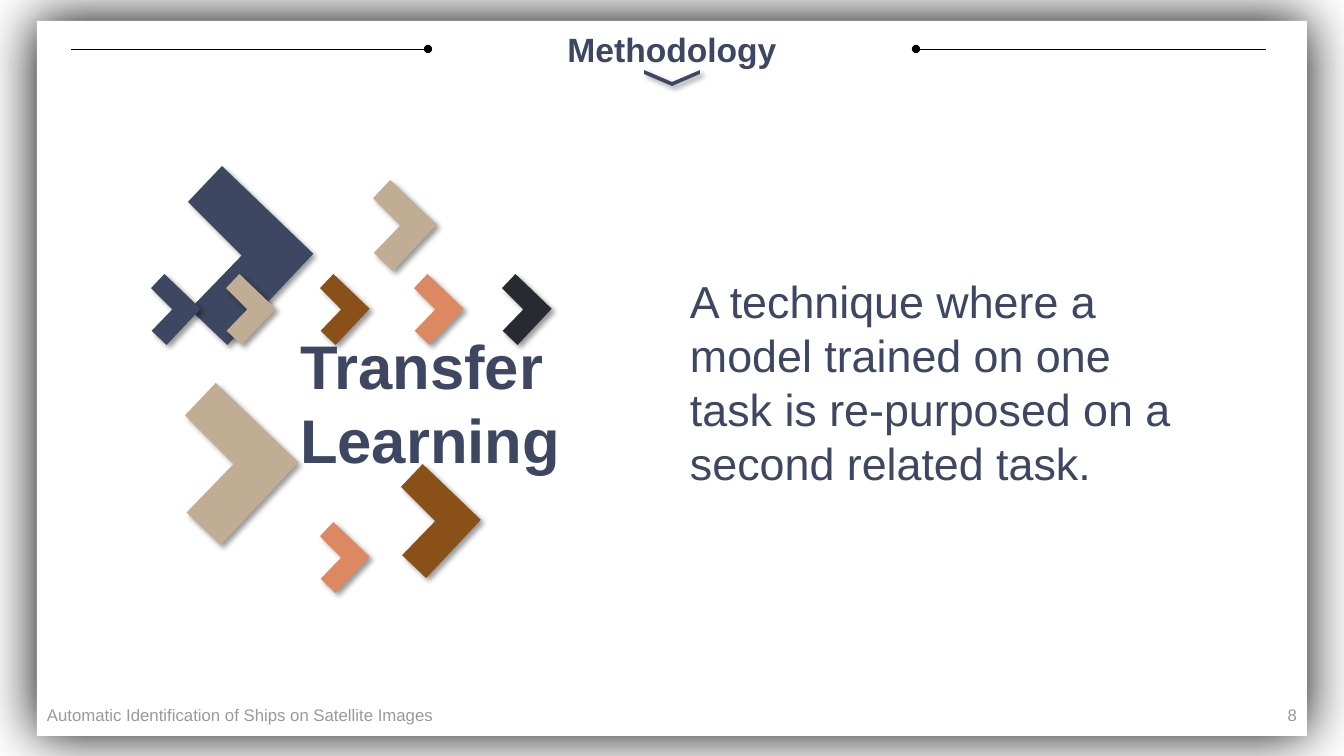
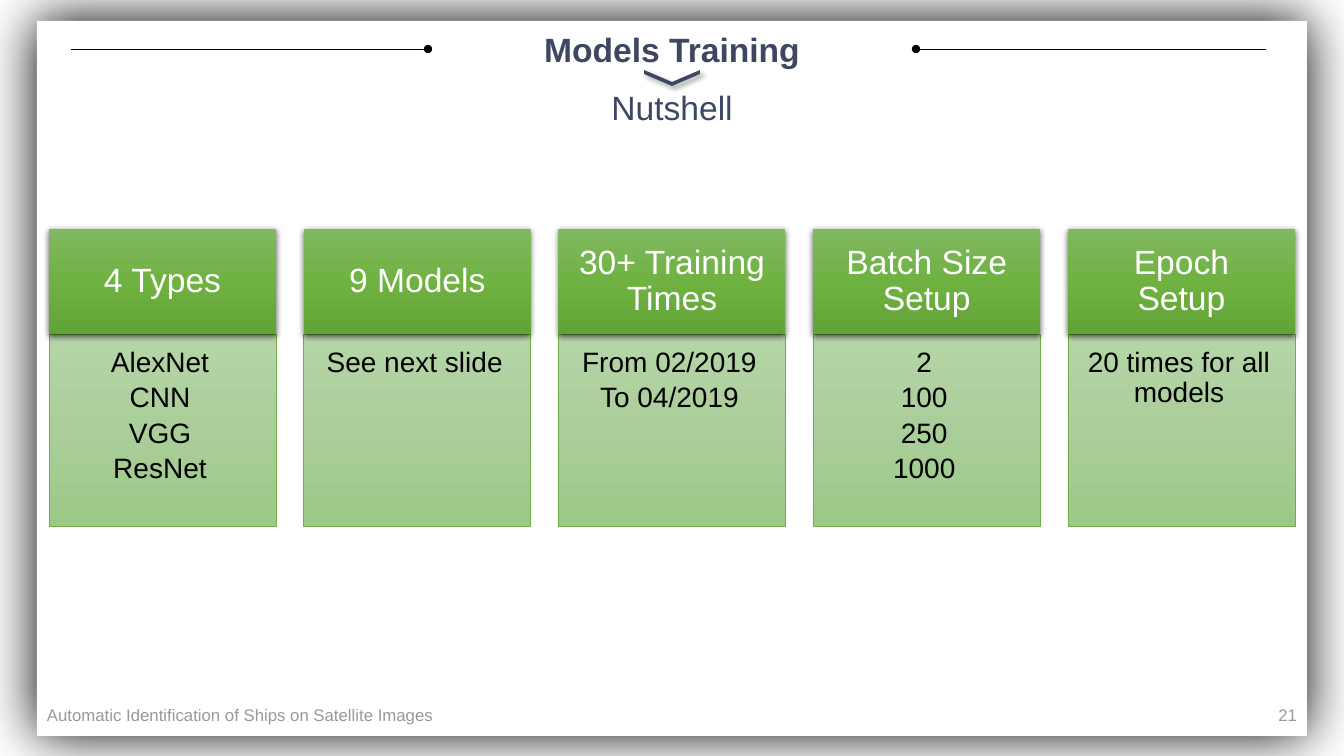
from copy import deepcopy
from dataclasses import dataclass

from lxml import etree
from pptx import Presentation
from pptx.dml.color import RGBColor
from pptx.enum.shapes import MSO_CONNECTOR, MSO_SHAPE
from pptx.enum.text import MSO_ANCHOR, PP_ALIGN
from pptx.oxml.ns import qn
from pptx.util import Emu, Pt

RECTANGLE, CHEVRON = MSO_SHAPE.RECTANGLE, MSO_SHAPE.CHEVRON
STRAIGHT = MSO_CONNECTOR.STRAIGHT
LEFT, CENTER, RIGHT = PP_ALIGN.LEFT, PP_ALIGN.CENTER, PP_ALIGN.RIGHT
TOP, MIDDLE = MSO_ANCHOR.TOP, MSO_ANCHOR.MIDDLE

EMU_PER_PX = 914400 / 100.8
EMU_PER_POINT = 12700
SLIDE_WIDTH, SLIDE_HEIGHT = 1344, 756


@dataclass(frozen=True)
class Theme:
    font: str = "Arial"
    white: str = "FFFFFF"
    black: str = "000000"
    navy: str = "3D4762"
    tan: str = "C1AC94"
    brown: str = "895018"
    coral: str = "DC8962"
    charcoal: str = "272A30"
    card_line: str = "70AD47"
    header_gradient: tuple = ("81B861", "6FB242", "62A336")
    body_gradient: tuple = ("B5D5A7", "AACE9A", "9CC987")
    # Shadows: opacity in percent, blur and distance in points, angle in degrees
    panel_shadow: tuple = (99, 40, 0, 0)
    chevron_shadow: tuple = (40, 4, 3, 45)
    header_shadow: tuple = (63, 4.5, 1.5, 90)
    hero_size: int = 44
    statement_size: int = 32
    title_size: int = 24
    card_size: int = 20
    footer_size: int = 12
    footer_opacity: int = 40


THEME = Theme()

FOOTER = "Automatic Identification of Ships on Satellite Images"
PANEL = (37, 21, 1270, 715)
TITLE_BOX = (428, 28, 488, 42)
SUBTITLE_BOX = (428, 86, 488, 42)
TITLE_RULES = [(428, 71), (916, 1266)]
RULE_Y = 49

METHOD_TITLE, METHOD_PAGE = "Methodology", "8"
METHOD_NAME = ["Transfer", "Learning"]
METHOD_TEXT = ["A technique where a model trained on one task is re-purposed on a second related task."]

# Corners in hundredths of the chevron's height
CHEVRON_OUTLINE = [(22, 100), (1, 80), (30, 50), (0, 20), (19, 0), (70, 49)]
SMALL, ROW_TOP = 71, 274
# Left, top, height, colour
CHEVRONS = [
    (373, 180, 91, THEME.tan),
    (188, 166, 179, THEME.navy),
    (226, ROW_TOP, SMALL, THEME.tan),
    (151, ROW_TOP, SMALL, THEME.navy),
    (320, ROW_TOP, SMALL, THEME.brown),
    (414, ROW_TOP, SMALL, THEME.coral),
    (502, ROW_TOP, SMALL, THEME.charcoal),
    (185, 383, 162, THEME.tan),
    (401, 464, 114, THEME.brown),
    (320, 522, SMALL, THEME.coral),
]

TRAINING_TITLE, TRAINING_SUBTITLE, TRAINING_PAGE = "Models Training", "Nutshell", "21"
CARDS = [
    ("4 Types", ["AlexNet", "CNN", "VGG", "ResNet"]),
    ("9 Models", ["See next slide"]),
    ("30+ Training Times", ["From 02/2019", "To 04/2019"]),
    ("Batch Size Setup", ["2", "100", "250", "1000"]),
    ("Epoch Setup", ["20 times for all models"]),
]
CARDS_LEFT, CARDS_RIGHT, CARD_WIDTH = 49, 1295, 227
HEADER_TOP, HEADER_HEIGHT, BODY_HEIGHT = 229, 105, 192


def px(value):
    return Emu(round(value * EMU_PER_PX))


def rgb(color):
    return RGBColor.from_string(color)


def write_text(shape, lines, size, color=THEME.navy, bold=False, align=LEFT, anchor=TOP,
               insets=(10, 5, 10, 5), wrap=True, line_spacing=1.0, space_after=0, opacity=100):
    """Fill a shape with one paragraph per line; insets run left, top, right, bottom."""
    frame = shape.text_frame
    frame.word_wrap = wrap
    frame.vertical_anchor = anchor
    frame.margin_left, frame.margin_top, frame.margin_right, frame.margin_bottom = map(px, insets)
    for index, line in enumerate(lines):
        paragraph = frame.paragraphs[0] if index == 0 else frame.add_paragraph()
        paragraph.alignment = align
        paragraph.line_spacing = line_spacing
        paragraph.space_after = Pt(space_after)
        run = paragraph.add_run()
        run.text = line
        run.font.name, run.font.size, run.font.bold = THEME.font, Pt(size), bold
        run.font.color.rgb = rgb(color)
        if opacity < 100:
            color_element = run.font.fill._xPr.find(".//" + qn("a:srgbClr"))
            etree.SubElement(color_element, qn("a:alpha"), val=str(opacity * 1000))


def add_text(slide, box, lines, size, **text_format):
    write_text(slide.shapes.add_textbox(*map(px, box)), lines, size, **text_format)


def set_gradient(shape, colors):
    """Apply a top-to-bottom gradient of three evenly spaced colours."""
    fill = shape.fill
    fill.gradient()
    fill.gradient_angle = 270
    stop_list = shape.element.spPr.find(".//" + qn("a:gsLst"))
    stop_list.append(deepcopy(stop_list[0]))
    for index, (stop, color) in enumerate(zip(fill.gradient_stops, colors)):
        stop.color.rgb = rgb(color)
        stop.position = index / 2


def style_shape(shape, fill, line=None, shadow=None):
    """Set fill (one colour or a gradient tuple), outline and shadow."""
    if isinstance(fill, tuple):
        set_gradient(shape, fill)
    else:
        shape.fill.solid()
        shape.fill.fore_color.rgb = rgb(fill)
    if line:
        shape.line.color.rgb = rgb(line)
        shape.line.width = Pt(0.5)
    else:
        shape.line.fill.background()
    shape.shadow.inherit = False
    if shadow:
        opacity, blur, distance, angle = shadow
        effects = shape.element.spPr.find(qn("a:effectLst"))
        outer = etree.SubElement(
            effects, qn("a:outerShdw"), blurRad=str(round(blur * EMU_PER_POINT)),
            dist=str(round(distance * EMU_PER_POINT)), dir=str(angle * 60000),
            algn="ctr", rotWithShape="0")
        shadow_color = etree.SubElement(outer, qn("a:srgbClr"), val=THEME.black)
        etree.SubElement(shadow_color, qn("a:alpha"), val=str(opacity * 1000))


def add_box(slide, box, fill, preset=RECTANGLE, **style):
    shape = slide.shapes.add_shape(preset, *map(px, box))
    style_shape(shape, fill, **style)
    return shape


def add_title_rule(slide, dot_x, end_x):
    rule = slide.shapes.add_connector(STRAIGHT, px(dot_x), px(RULE_Y), px(end_x), px(RULE_Y))
    rule.line.color.rgb = rgb(THEME.black)
    rule.line.width = Pt(0.5)
    etree.SubElement(rule.line._get_or_add_ln(), qn("a:headEnd"), type="oval")
    etree.SubElement(rule.element.spPr, qn("a:effectLst"))


def add_base_slide(presentation, title, page):
    """Add a slide with the panel, title band and footer."""
    slide = presentation.slides.add_slide(presentation.slide_layouts[6])
    add_box(slide, PANEL, THEME.white, shadow=THEME.panel_shadow)
    for dot_x, end_x in TITLE_RULES:
        add_title_rule(slide, dot_x, end_x)
    marker = add_box(slide, (664, 50, 16, 56), THEME.navy, preset=CHEVRON,
                     shadow=THEME.chevron_shadow)
    marker.rotation = 90
    marker.adjustments[0] = 0.75
    add_text(slide, TITLE_BOX, [title], THEME.title_size, bold=True, align=CENTER,
             line_spacing=0.9)
    for box, text, align in [((37, 695, 454, 40), FOOTER, LEFT),
                             ((1005, 695, 302, 40), page, RIGHT)]:
        add_text(slide, box, [text], THEME.footer_size, color=THEME.black, align=align,
                 anchor=MIDDLE, opacity=THEME.footer_opacity)
    return slide


def add_chevron(slide, left, top, height, color):
    start, *corners = CHEVRON_OUTLINE
    builder = slide.shapes.build_freeform(*start, scale=height * EMU_PER_PX / 100)
    builder.add_line_segments(corners, close=True)
    style_shape(builder.convert_to_shape(px(left), px(top)), color, shadow=THEME.chevron_shadow)


def build_methodology(presentation):
    slide = add_base_slide(presentation, METHOD_TITLE, METHOD_PAGE)
    for chevron in CHEVRONS:
        add_chevron(slide, *chevron)
    add_text(slide, (290, 323, 283, 159), METHOD_NAME, THEME.hero_size, bold=True, wrap=False)
    add_text(slide, (672, 269, 523, 228), METHOD_TEXT, THEME.statement_size,
             insets=(18, 5, 10, 5))


def build_training(presentation):
    slide = add_base_slide(presentation, TRAINING_TITLE, TRAINING_PAGE)
    pitch = (CARDS_RIGHT - CARDS_LEFT - CARD_WIDTH) / (len(CARDS) - 1)
    for index, (heading, lines) in enumerate(CARDS):
        left = CARDS_LEFT + index * pitch
        body = add_box(slide, (left, HEADER_TOP + HEADER_HEIGHT, CARD_WIDTH, BODY_HEIGHT),
                       THEME.body_gradient, line=THEME.card_line)
        write_text(body, lines, THEME.card_size, color=THEME.black, align=CENTER,
                   insets=(14, 14, 19, 21), line_spacing=0.9, space_after=3.8)
        header = add_box(slide, (left, HEADER_TOP, CARD_WIDTH, HEADER_HEIGHT),
                         THEME.header_gradient, shadow=THEME.header_shadow)
        write_text(header, [heading], THEME.title_size, color=THEME.white, align=CENTER,
                   anchor=MIDDLE, insets=(19, 11, 19, 11), line_spacing=0.9)
    add_text(slide, SUBTITLE_BOX, [TRAINING_SUBTITLE], THEME.title_size, align=CENTER,
             line_spacing=0.9)


def main():
    presentation = Presentation()
    presentation.slide_width, presentation.slide_height = px(SLIDE_WIDTH), px(SLIDE_HEIGHT)
    build_methodology(presentation)
    build_training(presentation)
    presentation.save("out.pptx")


if __name__ == "__main__":
    main()
